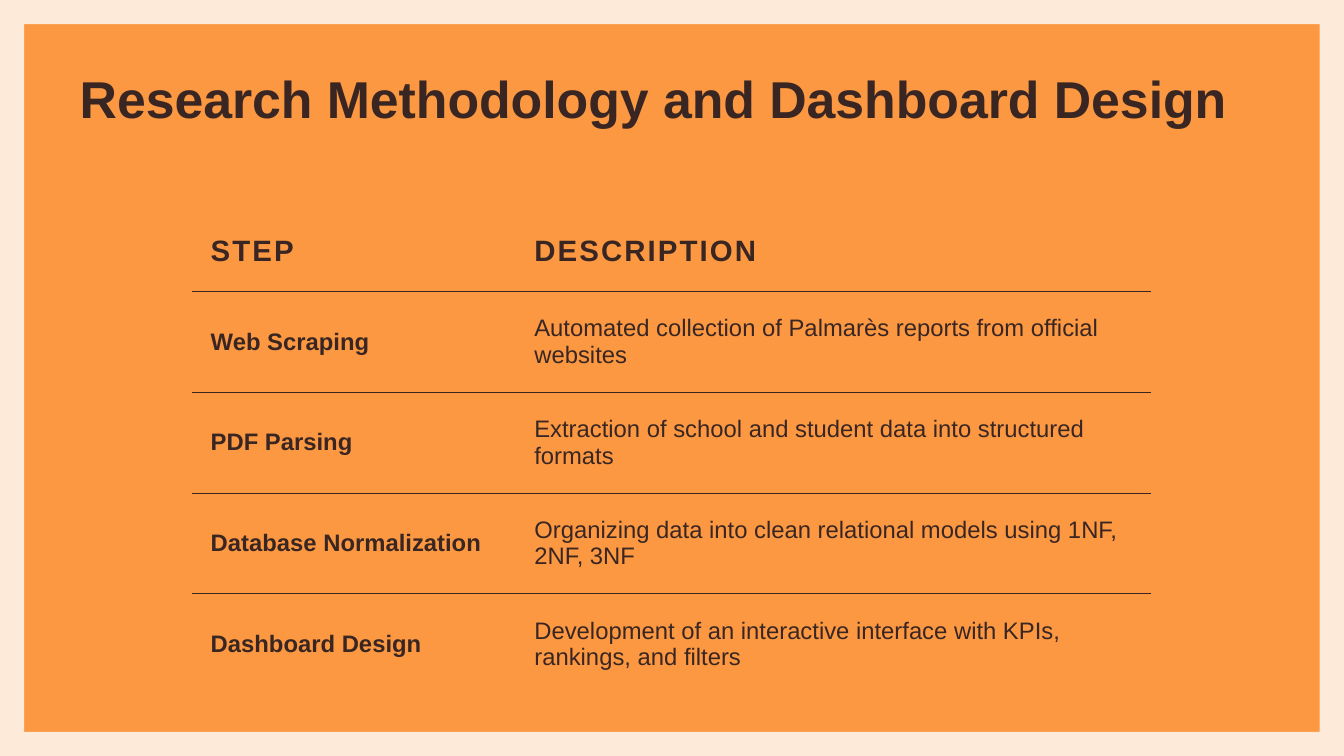
from lxml import etree
from pptx import Presentation
from pptx import util as u
from pptx.dml.color import RGBColor
from pptx.enum import shapes, text
from pptx.oxml import ns

INK, ORANGE, CREAM = "392623", "FB9841", "FEEAD9"


def color(hex_value):
    return RGBColor.from_string(hex_value)


def write(frame, wording, size, bold=False, spacing=0, line_spacing=1.0):
    frame.word_wrap = True
    paragraph = frame.paragraphs[0]
    paragraph.alignment = text.PP_ALIGN.LEFT
    paragraph.line_spacing = line_spacing
    run = paragraph.add_run()
    run.text = wording
    run.font.name = "Arial"
    run.font.size = u.Pt(size)
    run.font.bold = bold
    run.font.color.rgb = color(INK)
    if spacing:
        run.font._element.set("spc", str(int(spacing * 100)))


deck = Presentation()
deck.slide_width, deck.slide_height = u.Inches(13.33), u.Inches(7.5)
slide = deck.slides.add_slide(deck.slide_layouts[5])

# Background and cream border
slide.background.fill.solid()
slide.background.fill.fore_color.rgb = color(ORANGE)
border = slide.shapes.add_shape(
    shapes.MSO_SHAPE.FRAME, 0, 0, deck.slide_width, deck.slide_height)
border.adjustments[0] = 0.24 / 7.5
border.shadow.inherit = False
border.fill.solid()
border.fill.fore_color.rgb = color(CREAM)
border.line.fill.background()

# Title
title = slide.shapes.title
title.left, title.top = u.Inches(0.69), u.Inches(0.71)
title.width, title.height = u.Inches(11.94), u.Inches(1.07)
title.text_frame.auto_size = text.MSO_AUTO_SIZE.NONE
title.text_frame.vertical_anchor = text.MSO_ANCHOR.TOP
write(title.text_frame, "Research Methodology and Dashboard Design",
      37, bold=True, line_spacing=0.85)

# Table of steps
steps = [
    ("STEP", "DESCRIPTION"),
    ("Web Scraping",
     "Automated collection of Palmarès reports from official websites"),
    ("PDF Parsing",
     "Extraction of school and student data into structured formats"),
    ("Database Normalization",
     "Organizing data into clean relational models using 1NF, 2NF, 3NF"),
    ("Dashboard Design",
     "Development of an interactive interface with KPIs, rankings, and filters"),
]
column_widths = [3.21, 6.31]
row_heights = [0.79] + [1] * 4
table = slide.shapes.add_table(
    len(steps), 2, u.Inches(1.9), u.Inches(2.1),
    u.Inches(sum(column_widths)), u.Inches(sum(row_heights))).table
table.horz_banding = False
for column, width in zip(table.columns, column_widths):
    column.width = u.Inches(width)
for row, height in zip(table.rows, row_heights):
    row.height = u.Inches(height)

for r, step in enumerate(steps):
    # Rules run only between rows
    ruled_sides = {"T": r > 0, "B": r < len(steps) - 1}
    for c, wording in enumerate(step):
        cell = table.cell(r, c)
        cell.margin_left = cell.margin_right = u.Inches(0.19)
        cell.margin_top = cell.margin_bottom = u.Inches(0.19)
        cell.vertical_anchor = text.MSO_ANCHOR.MIDDLE
        for side in "LRTB":
            rule = etree.SubElement(cell._tc.tcPr, ns.qn("a:ln" + side))
            if ruled_sides.get(side):
                rule.set("w", str(u.Pt(0.5)))
                paint = etree.SubElement(rule, ns.qn("a:solidFill"))
                etree.SubElement(paint, ns.qn("a:srgbClr"), val=INK)
            else:
                etree.SubElement(rule, ns.qn("a:noFill"))
        cell.fill.background()
        if r == 0:
            write(cell.text_frame, wording, 21, bold=True, spacing=1.5)
        else:
            write(cell.text_frame, wording, 17, bold=c == 0)

deck.save("out.pptx")
